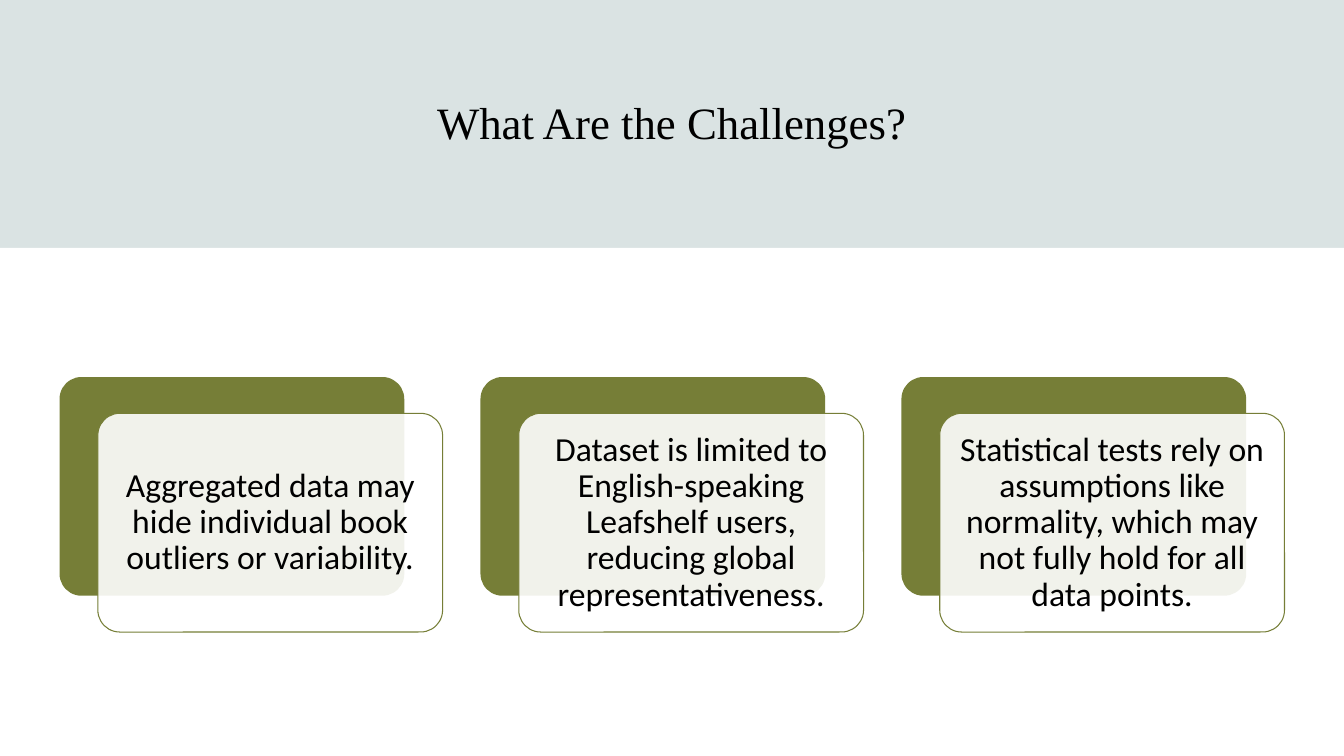
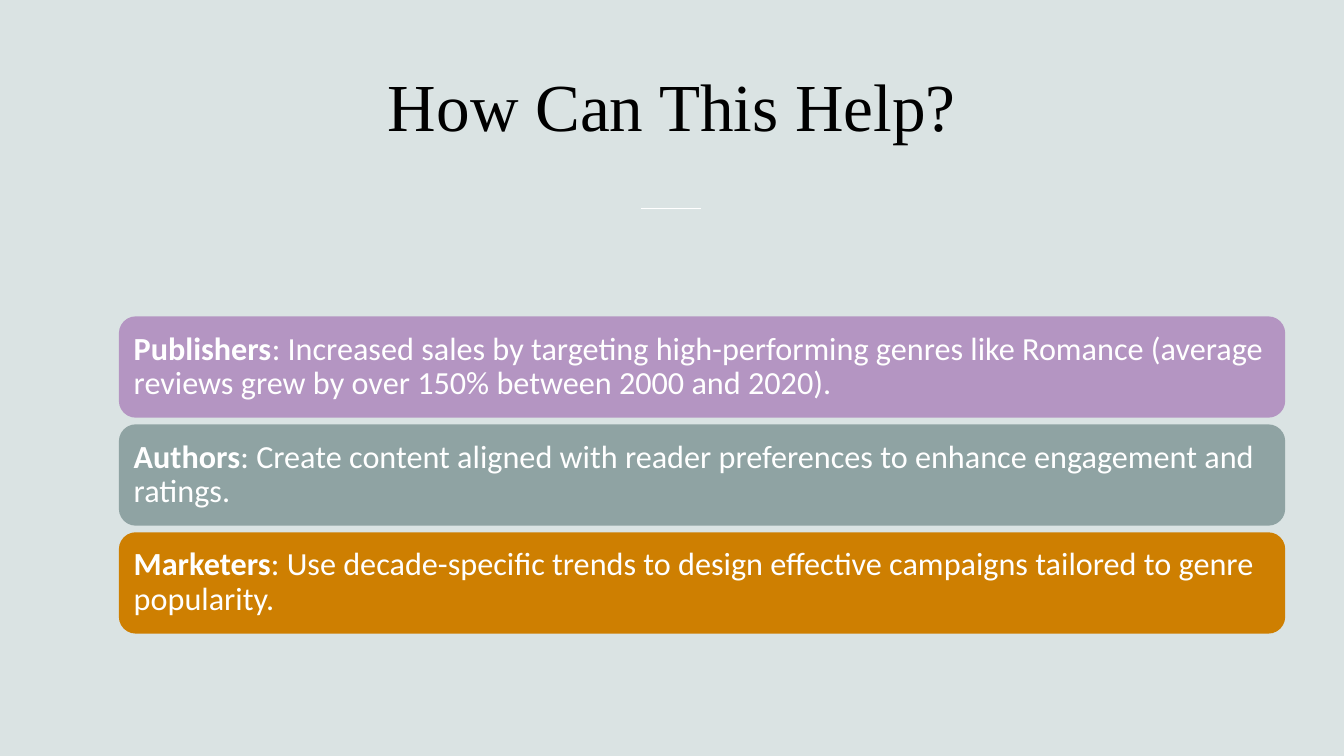
from lxml.etree import SubElement
from pptx import Presentation
from pptx.dml.color import RGBColor
from pptx.enum.shapes import MSO_CONNECTOR, MSO_SHAPE
from pptx.enum.text import MSO_ANCHOR, MSO_AUTO_SIZE, PP_ALIGN
from pptx.oxml.ns import qn
from pptx.util import Inches, Pt

MIST, WHITE, BLACK, OLIVE = "DAE3E3", "FFFFFF", "000000", "767E37"
LILAC, SAGE, AMBER = "B495C2", "8FA3A3", "CE7F01"
TITLE_FONT, BODY_FONT = "Times New Roman", "Calibri"

CHALLENGES = [
    "Aggregated data may hide individual book outliers or variability.",
    "Dataset is limited to English-speaking Leafshelf users, reducing global "
    "representativeness.",
    "Statistical tests rely on assumptions like normality, which may not fully "
    "hold for all data points.",
]
BENEFITS = [
    ("Publishers", ": Increased sales by targeting high-performing genres like Romance "
     "(average reviews grew by over 150% between 2000 and 2020).", LILAC),
    ("Authors", ": Create content aligned with reader preferences to enhance "
     "engagement and ratings.", SAGE),
    ("Marketers", ": Use decade-specific trends to design effective campaigns "
     "tailored to genre popularity.", AMBER),
]


def paint(color_format, color):
    color_format.rgb = RGBColor.from_string(color)


def write(frame, *runs, size, font=BODY_FONT, color=BLACK, align=PP_ALIGN.LEFT,
          spacing=None, inset=None):
    """Fill a text frame with one paragraph made of (text, bold) runs."""
    frame.word_wrap = True
    frame.auto_size = MSO_AUTO_SIZE.NONE
    frame.vertical_anchor = MSO_ANCHOR.MIDDLE
    if inset is not None:
        frame.margin_left = frame.margin_right = Inches(inset)
        frame.margin_top = frame.margin_bottom = Inches(inset)
    paragraph = frame.paragraphs[0]
    paragraph.alignment = align
    paragraph.line_spacing = spacing
    for text, bold in runs:
        run = paragraph.add_run()
        run.text = text
        run.font.name = font
        run.font.size = Pt(size)
        run.font.bold = bold
        paint(run.font.color, color)


class Deck:
    """Holds the style and the current slide; boxes are percentages of the slide."""

    def __init__(self):
        self.presentation = Presentation()
        self.presentation.slide_width = Inches(13.33)
        self.presentation.slide_height = Inches(7.5)
        background = self.presentation.slide_master.background.fill
        background.solid()
        paint(background.fore_color, MIST)
        self.slide = None

    def place(self, left, top, width, height):
        across = self.presentation.slide_width / 100
        down = self.presentation.slide_height / 100
        return [round(length) for length in
                (left * across, top * down, width * across, height * down)]

    def add_slide(self, title, box, size):
        layout = self.presentation.slide_layouts.get_by_name("Title Only")
        self.slide = self.presentation.slides.add_slide(layout)
        shape = self.slide.shapes.title
        shape.left, shape.top, shape.width, shape.height = self.place(*box)
        write(shape.text_frame, (title, False), size=size, font=TITLE_FONT,
              align=PP_ALIGN.CENTER)

    def panel(self, box, fill, kind=MSO_SHAPE.ROUNDED_RECTANGLE, corner=None,
              opacity=None, outline=None):
        shape = self.slide.shapes.add_shape(kind, *self.place(*box))
        shape.shadow.inherit = False
        shape.fill.solid()
        paint(shape.fill.fore_color, fill)
        if corner is not None:
            shape.adjustments[0] = corner
        if opacity is not None:
            color = shape.fill._xPr.find(qn("a:solidFill"))[0]
            SubElement(color, qn("a:alpha")).set("val", str(opacity * 1000))
        if outline:
            paint(shape.line.color, outline)
            shape.line.width = Pt(0.75)
        else:
            shape.line.fill.background()
        return shape

    def card(self, left, top, text):
        """A white card laid over an olive one, shifted right and down."""
        width, height = 25.65, 28.93
        self.panel((left, top, width, height), OLIVE, corner=0.1)
        front = self.panel((left + 2.85, top + 4.8, width, height), WHITE,
                           corner=0.1, opacity=90, outline=OLIVE)
        write(front.text_frame, (text, False), size=24, align=PP_ALIGN.CENTER,
              spacing=0.9, inset=0.1)

    def bar(self, top, label, text, fill):
        shape = self.panel((8.85, top, 86.78, 13.4), fill)
        write(shape.text_frame, (label, True), (text, False), size=23, color=WHITE,
              spacing=0.9, inset=0.1)

    def rule(self, left, top, width):
        x, y, length, _ = self.place(left, top, width, 0)
        line = self.slide.shapes.add_connector(MSO_CONNECTOR.STRAIGHT, x, y, x + length, y)
        paint(line.line.color, WHITE)
        line.line.width = Pt(1)
        SubElement(line._element.spPr, qn("a:effectLst"))


def main():
    deck = Deck()

    deck.add_slide("What Are the Challenges?", (8.85, 7.87, 82.28, 16.4), size=32)
    deck.panel((0, 32.8, 100, 67.2), WHITE, kind=MSO_SHAPE.RECTANGLE)
    for column, text in enumerate(CHALLENGES):
        deck.card(4.43 + column * 31.32, 49.87, text)

    deck.add_slide("How Can This Help?", (8.1, 3.73, 83.8, 20.27), size=48)
    deck.rule(47.7, 27.6, 4.43)
    for row, (label, text, fill) in enumerate(BENEFITS):
        deck.bar(41.85 + row * 14.28, label, text, fill)

    deck.presentation.save("out.pptx")


if __name__ == "__main__":
    main()
